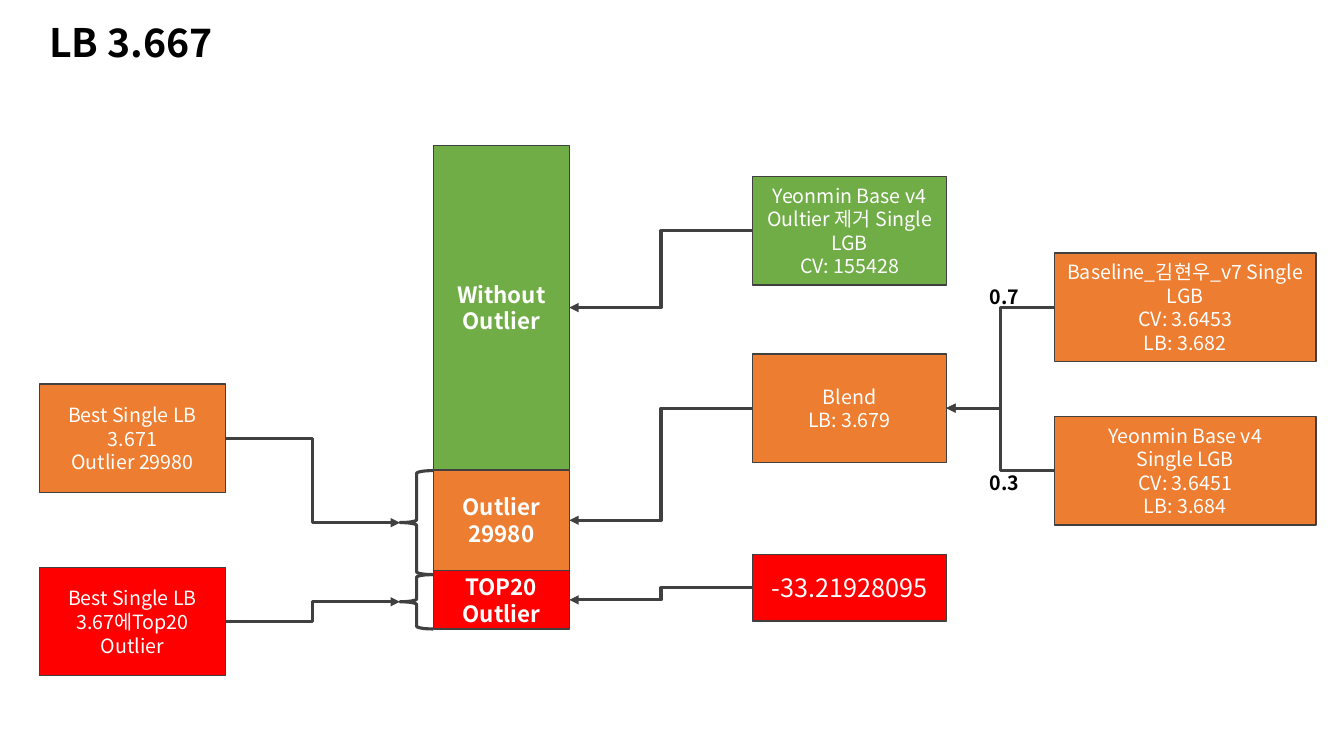
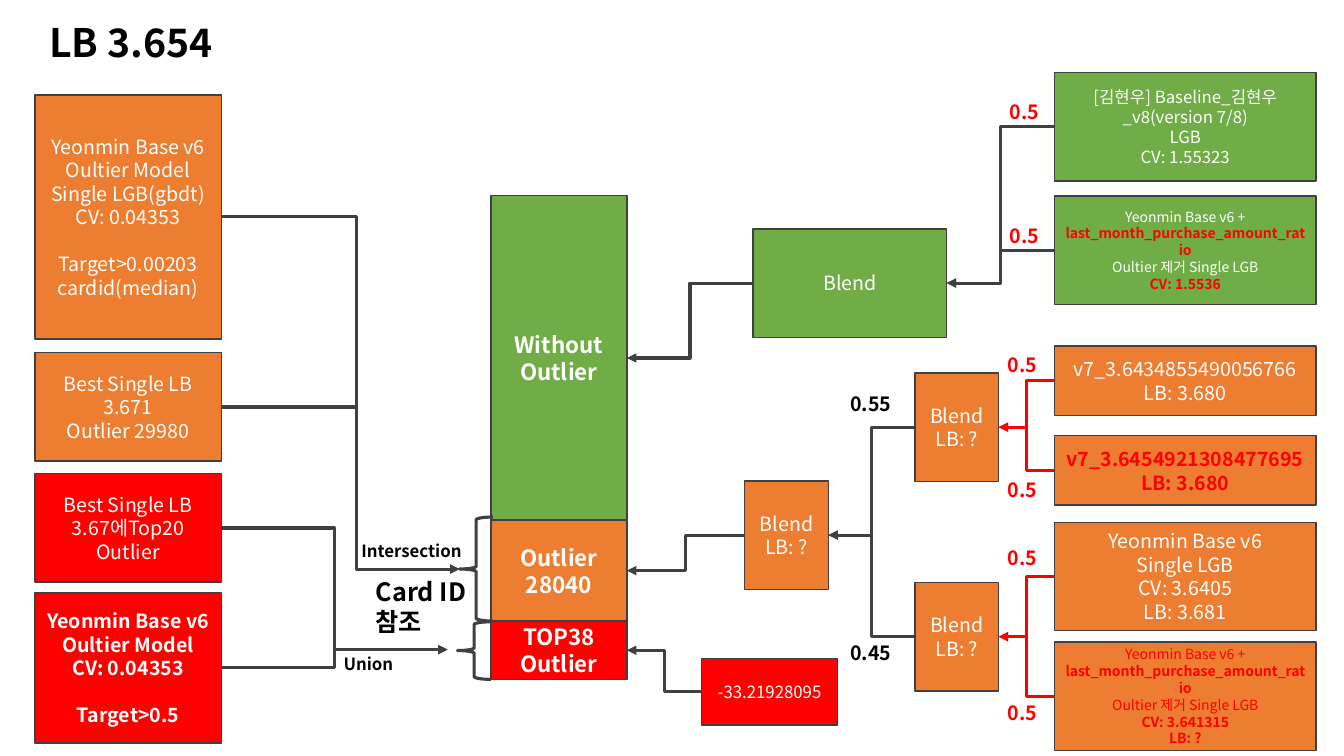
from dataclasses import dataclass

from lxml.etree import SubElement
from pptx import Presentation
from pptx.dml.color import RGBColor
from pptx.enum.shapes import MSO_CONNECTOR, MSO_SHAPE
from pptx.enum.text import MSO_ANCHOR, MSO_AUTO_SIZE, PP_ALIGN
from pptx.oxml.ns import qn
from pptx.util import Cm, Pt


@dataclass(frozen=True)
class Theme:
    font: str = "Noto Sans CJK KR"
    green: str = "70AD47"
    orange: str = "ED7D31"
    red: str = "FF0000"
    white: str = "FFFFFF"
    black: str = "000000"
    outline: str = "404040"
    title: int = 28
    large: int = 18
    stage: int = 16
    body: int = 14
    small: int = 12
    tiny: int = 10
    thin: float = 1
    thick: float = 2.25
    line_height: float = 1.2


@dataclass(frozen=True)
class Span:
    text: str
    colour: str
    bold: bool = False


THEME = Theme()
LEFT_SITE, RIGHT_SITE = 1, 3
LEFT_WIDTH, MODEL_WIDTH, RIGHT_WIDTH = 4.7, 4.88, 6.6
STAGE_WIDTH, BLEND_WIDTH, BRACE_WIDTH = 3.43, 2.11, 0.84
BOX_HEIGHT, LOW_HEIGHT, VALUE_HEIGHT = 2.73, 1.75, 1.68
MODEL_LEFT, RIGHT_LEFT = 18.97, 26.57
FEATURE = "last_month_purchase_amount_ratio"
CONSTANT = "-33.21928095"
BEST_SINGLE = ["Best Single LB 3.671", "Outlier 29980"]
BEST_TOP = ["Best Single LB 3.67에Top20 Outlier"]
UNKNOWN_BLEND = ["Blend", "LB: ?"]


def rgb(colour):
    return RGBColor.from_string(colour)


def place(left, top, width, height):
    return Cm(left), Cm(top), Cm(width), Cm(height)


def add_span(para, text, size, colour, bold):
    span = para.add_run()
    span.text = text
    span.font.name = THEME.font
    span.font.size = Pt(size)
    span.font.bold = bold
    span.font.color.rgb = rgb(colour)
    SubElement(span.font._element, qn("a:ea"), typeface=THEME.font)


def write(frame, lines, size, colour, bold=False, align=PP_ALIGN.LEFT, gap_at=None):
    frame.word_wrap = True
    for index, line in enumerate(lines):
        para = frame.add_paragraph() if index else frame.paragraphs[0]
        para.alignment = align
        if index == gap_at:
            para.space_before = Pt(size * THEME.line_height)
        spans = [Span(line, colour, bold)] if isinstance(line, str) else line
        for span in spans:
            add_span(para, span.text, size, span.colour, span.bold)


def add_box(page, bounds, fill, lines, size=THEME.body, colour=THEME.white,
            bold=False, gap_at=None):
    box = page.shapes.add_shape(MSO_SHAPE.RECTANGLE, *place(*bounds))
    box.shadow.inherit = False
    box.fill.solid()
    box.fill.fore_color.rgb = rgb(fill)
    box.line.color.rgb = rgb(THEME.outline)
    box.line.width = Pt(THEME.thin)
    box.text_frame.vertical_anchor = MSO_ANCHOR.MIDDLE
    write(box.text_frame, lines, size, colour, bold, PP_ALIGN.CENTER, gap_at)
    return box


def add_text(page, bounds, text, size, colour=THEME.black):
    box = page.shapes.add_textbox(*place(*bounds))
    write(box.text_frame, [text], size, colour, bold=True)
    box.text_frame.auto_size = MSO_AUTO_SIZE.SHAPE_TO_FIT_TEXT


def add_weight(page, left, top, text, colour=THEME.black):
    add_text(page, (left, top, 1.65, 0.86), text, THEME.body, colour)


def add_brace(page, left, top, height):
    brace = page.shapes.add_shape(
        MSO_SHAPE.LEFT_BRACE, *place(left, top, BRACE_WIDTH, height))
    brace.shadow.inherit = False
    brace.fill.background()
    brace.line.color.rgb = rgb(THEME.outline)
    brace.line.width = Pt(THEME.thick)
    return brace


def add_arrow(page, source, target, colour=THEME.outline, bend=None):
    free_end = isinstance(target, tuple)
    end = target if free_end else (target.left, target.top)
    forward = source.left < end[0]
    arrow = page.shapes.add_connector(
        MSO_CONNECTOR.ELBOW, source.left, source.top, *end)
    arrow.begin_connect(source, RIGHT_SITE if forward else LEFT_SITE)
    if not free_end:
        arrow.end_connect(target, LEFT_SITE if forward else RIGHT_SITE)
    arrow.line.color.rgb = rgb(colour)
    arrow.line.width = Pt(THEME.thick)
    properties = arrow._element.spPr
    SubElement(properties.find(qn("a:ln")), qn("a:tailEnd"), type="triangle")
    SubElement(properties, qn("a:effectLst"))
    if bend is not None:
        guides = properties.find(qn("a:prstGeom")).find(qn("a:avLst"))
        SubElement(guides, qn("a:gd"), name="adj1", fmla=f"val {bend}")


def add_stages(page, left, top, outlier_count, top_label):
    stages = []
    for height, fill, lines in (
        (8.18, THEME.green, ["Without", "Outlier"]),
        (2.54, THEME.orange, ["Outlier", outlier_count]),
        (1.47, THEME.red, [top_label]),
    ):
        stages.append(add_box(page, (left, top, STAGE_WIDTH, height), fill, lines,
                              THEME.stage, bold=True))
        top += height
    return stages


def add_page(deck, title):
    page = deck.slides.add_slide(deck.slide_layouts[6])
    add_text(page, (0.99, 0.33, 14.02, 1.45), title, THEME.title)
    return page


def build_first(deck):
    page = add_page(deck, "LB 3.667")
    stages = add_stages(page, 10.92, 3.66, "29980", "TOP20 Outlier")

    clean = add_box(page, (MODEL_LEFT, 4.45, MODEL_WIDTH, BOX_HEIGHT), THEME.green,
                    ["Yeonmin Base v4", "Oultier 제거 Single LGB", "CV: 155428"])
    blend = add_box(page, (MODEL_LEFT, 8.92, MODEL_WIDTH, BOX_HEIGHT), THEME.orange,
                    ["Blend", "LB: 3.679"])
    constant = add_box(page, (MODEL_LEFT, 13.97, MODEL_WIDTH, VALUE_HEIGHT),
                       THEME.red, [CONSTANT], THEME.large)
    for source, stage in zip((clean, blend, constant), stages):
        add_arrow(page, source, stage)

    for top, lines in (
        (6.38, ["Baseline_김현우_v7\u00a0Single LGB", "CV: 3.6453", "LB: 3.682"]),
        (10.5, ["Yeonmin Base v4", "Single LGB", "CV: 3.6451", "LB: 3.684"]),
    ):
        model = add_box(page, (RIGHT_LEFT, top, RIGHT_WIDTH, BOX_HEIGHT),
                        THEME.orange, lines)
        add_arrow(page, model, blend)
    add_weight(page, 24.69, 7.06, "0.7")
    add_weight(page, 24.69, 11.73, "0.3")

    for top, fill, lines, brace_top, brace_height in (
        (9.68, THEME.orange, BEST_SINGLE, 11.86, 2.62),
        (14.3, THEME.red, BEST_TOP, 14.48, 1.37),
    ):
        best = add_box(page, (0.99, top, LEFT_WIDTH, BOX_HEIGHT), fill, lines)
        add_arrow(page, best, add_brace(page, 10.08, brace_top, brace_height))


def add_outlier_sources(page):
    outlier_brace = add_brace(page, 11.58, 13.03, 2.62)
    add_brace(page, 11.53, 15.67, 1.45)
    union_end = (Cm(11.28), Cm(16.37))
    for top, height, fill, lines, bold, gap_at, target, bend in (
        (2.39, 6.15, THEME.orange,
         ["Yeonmin Base v6", "Oultier Model", "Single LGB(gbdt)", "CV: 0.04353",
          "Target>0.00203 cardid(median)"], False, 4, outlier_brace, 56900),
        (8.89, BOX_HEIGHT, THEME.orange, BEST_SINGLE, False, None,
         outlier_brace, 56900),
        (11.94, BOX_HEIGHT, THEME.red, BEST_TOP, False, None, union_end, None),
        (14.94, 3.78, THEME.red,
         ["Yeonmin Base v6", "Oultier Model", "CV: 0.04353", "Target>0.5"],
         True, 3, union_end, None),
    ):
        source = add_box(page, (0.88, top, LEFT_WIDTH, height), fill, lines,
                         bold=bold, gap_at=gap_at)
        add_arrow(page, source, target, bend=bend)
    add_text(page, (8.86, 13.51, 3.1, 0.76), "Intersection", THEME.small)
    add_text(page, (8.41, 16.36, 3.1, 0.76), "Union", THEME.small)
    add_text(page, (9.22, 14.4, 2.92, 1.8), "Card ID 참조", THEME.large)


def add_feature_model(page, top, colour, score_lines):
    lines = [
        [Span("Yeonmin Base v6 + ", colour), Span(FEATURE, THEME.red, True)],
        [Span("Oultier 제거 Single LGB", colour)],
        *([Span(score, THEME.red, True)] for score in score_lines),
    ]
    fill = THEME.green if colour == THEME.white else THEME.orange
    return add_box(page, (RIGHT_LEFT, top, RIGHT_WIDTH, BOX_HEIGHT), fill, lines,
                   THEME.tiny)


def add_unknown_blend(page, left, top):
    return add_box(page, (left, top, BLEND_WIDTH, BOX_HEIGHT), THEME.orange,
                   UNKNOWN_BLEND)


def build_second(deck):
    page = add_page(deck, "LB 3.654")
    stages = add_stages(page, 12.37, 4.93, "28040", "TOP38 Outlier")
    add_outlier_sources(page)

    clean_blend = add_box(page, (MODEL_LEFT + 0.01, 5.77, MODEL_WIDTH, BOX_HEIGHT),
                          THEME.green, ["Blend"])
    final_blend = add_unknown_blend(page, 18.77, 12.12)
    upper_blend = add_unknown_blend(page, 23.06, 9.4)
    lower_blend = add_unknown_blend(page, 23.06, 14.68)
    constant = add_box(page, (17.68, 16.59, STAGE_WIDTH, VALUE_HEIGHT), THEME.red,
                       [CONSTANT], THEME.small)
    for source, stage in zip((clean_blend, final_blend, constant), stages):
        add_arrow(page, source, stage)
    for source in (upper_blend, lower_blend):
        add_arrow(page, source, final_blend)

    baseline = add_box(
        page, (RIGHT_LEFT, 1.83, RIGHT_WIDTH, BOX_HEIGHT), THEME.green,
        ["[김현우] Baseline_김현우_v8(version\u00a07/8)", "LGB", "CV: 1.55323"],
        THEME.small)
    clean_feature = add_feature_model(page, 4.94, THEME.white, ["CV: 1.5536"])
    plain = add_box(page, (RIGHT_LEFT, 8.72, RIGHT_WIDTH, LOW_HEIGHT), THEME.orange,
                    ["v7_3.6434855490056766", "LB: 3.680"])
    added = add_box(page, (RIGHT_LEFT, 10.98, RIGHT_WIDTH, LOW_HEIGHT), THEME.orange,
                    ["v7_3.6454921308477695", "LB: 3.680"],
                    colour=THEME.red, bold=True)
    single = add_box(page, (RIGHT_LEFT, 13.16, RIGHT_WIDTH, BOX_HEIGHT), THEME.orange,
                     ["Yeonmin Base v6", "Single LGB", "CV: 3.6405", "LB: 3.681"])
    feature = add_feature_model(page, 16.18, THEME.red, ["CV: 3.641315", "LB: ?"])

    for models, blend, colour in (
        ((baseline, clean_feature), clean_blend, THEME.outline),
        ((plain, added), upper_blend, THEME.red),
        ((single, feature), lower_blend, THEME.red),
    ):
        for model in models:
            add_arrow(page, model, blend, colour)

    for left, top in ((25.2, 2.39), (25.2, 5.51), (25.15, 8.76), (25.15, 11.91),
                      (25.15, 13.64), (25.15, 17.53)):
        add_weight(page, left, top, "0.5", THEME.red)
    add_weight(page, 21.18, 9.75, "0.55")
    add_weight(page, 21.18, 16.03, "0.45")


def main():
    deck = Presentation()
    deck.slide_width = Cm(33.87)
    deck.slide_height = Cm(19.05)
    build_first(deck)
    build_second(deck)
    deck.save("out.pptx")


main()
